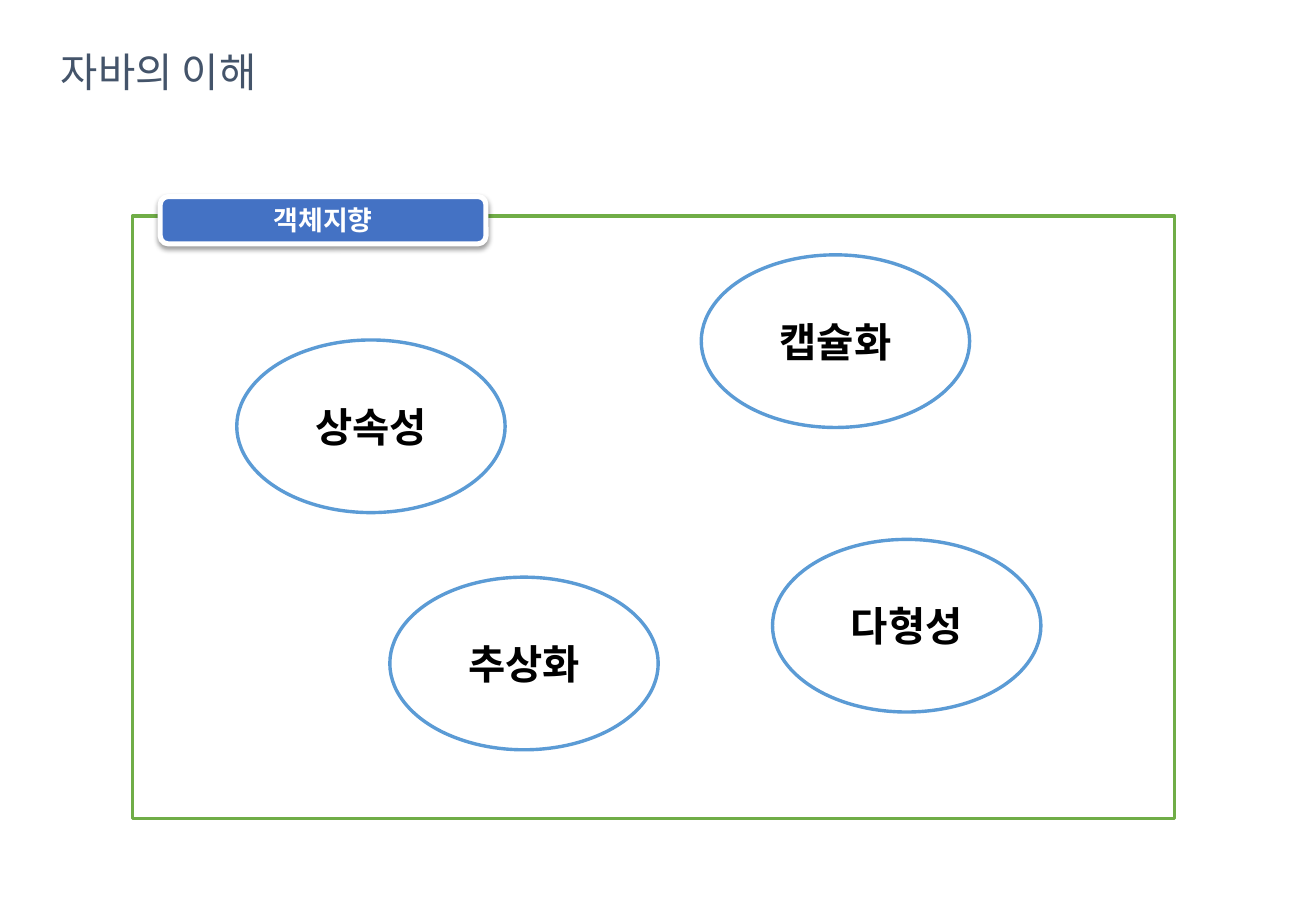
from dataclasses import dataclass

from lxml import etree
from pptx import Presentation
from pptx.dml.color import RGBColor
from pptx.enum.shapes import MSO_SHAPE
from pptx.enum.text import MSO_ANCHOR, PP_ALIGN
from pptx.oxml.ns import qn
from pptx.util import Cm, Pt

RECTANGLE, ROUNDED, OVAL = MSO_SHAPE.RECTANGLE, MSO_SHAPE.ROUNDED_RECTANGLE, MSO_SHAPE.OVAL
LEFT, CENTER, MIDDLE = PP_ALIGN.LEFT, PP_ALIGN.CENTER, MSO_ANCHOR.MIDDLE


@dataclass(frozen=True)
class Theme:
    font: str = "Noto Sans CJK KR"
    white: str = "FFFFFF"
    black: str = "000000"
    slate: str = "44546A"
    green: str = "70AD47"
    blue: str = "4472C4"
    sky: str = "5B9BD5"
    large: int = 24
    label: int = 16


theme = Theme()


def write(shape, text, size, color, align, bold):
    frame = shape.text_frame
    frame.word_wrap = True
    frame.vertical_anchor = MIDDLE
    para = frame.paragraphs[0]
    para.alignment = align
    span = para.add_run()
    span.text = text
    span.font.name = theme.font
    span.font.size = Pt(size)
    span.font.bold = bold
    span.font.color.rgb = RGBColor.from_string(color)
    # Korean glyphs take the East Asian typeface
    etree.SubElement(span.font._element, qn("a:ea"), typeface=theme.font)


def add_box(kind, left, top, width, height, fill, line, weight):
    box = page.shapes.add_shape(kind, Cm(left), Cm(top), Cm(width), Cm(height))
    box.shadow.inherit = False
    box.fill.solid()
    box.fill.fore_color.rgb = RGBColor.from_string(fill)
    box.line.color.rgb = RGBColor.from_string(line)
    box.line.width = Pt(weight)
    return box


deck = Presentation()
deck.slide_width, deck.slide_height = Cm(27.51), Cm(19.05)
page = deck.slides.add_slide(deck.slide_layouts[5])

# Title
title = page.shapes.title
title.left, title.top, title.width, title.height = Cm(1.02), Cm(0.81), Cm(15.9), Cm(1.37)
write(title, "자바의 이해", theme.large, theme.slate, LEFT, False)

# Frame and its heading tag
add_box(RECTANGLE, 2.77, 4.52, 21.79, 12.6, theme.white, theme.green, 2)
tag = add_box(ROUNDED, 3.35, 4.11, 6.81, 0.99, theme.blue, theme.white, 3)
write(tag, "객체지향", theme.label, theme.white, CENTER, True)

# Soft shadow below the tag
effects = tag._element.spPr.find(qn("a:effectLst"))
shadow = etree.SubElement(effects, qn("a:outerShdw"), blurRad=str(Pt(3.1)), dist=str(Pt(1.6)),
                          dir="5400000", rotWithShape="0")
shade = etree.SubElement(shadow, qn("a:srgbClr"), val=theme.black)
etree.SubElement(shade, qn("a:alpha"), val="38000")

# Object-oriented concepts
concepts = [
    ("상속성", 4.95, 7.11),
    ("추상화", 8.15, 12.07),
    ("캡슐화", 14.66, 5.33),
    ("다형성", 16.15, 11.28),
]
for name, left, top in concepts:
    concept = add_box(OVAL, left, top, 5.61, 3.61, theme.white, theme.sky, 2)
    write(concept, name, theme.large, theme.black, CENTER, True)

deck.save("out.pptx")
